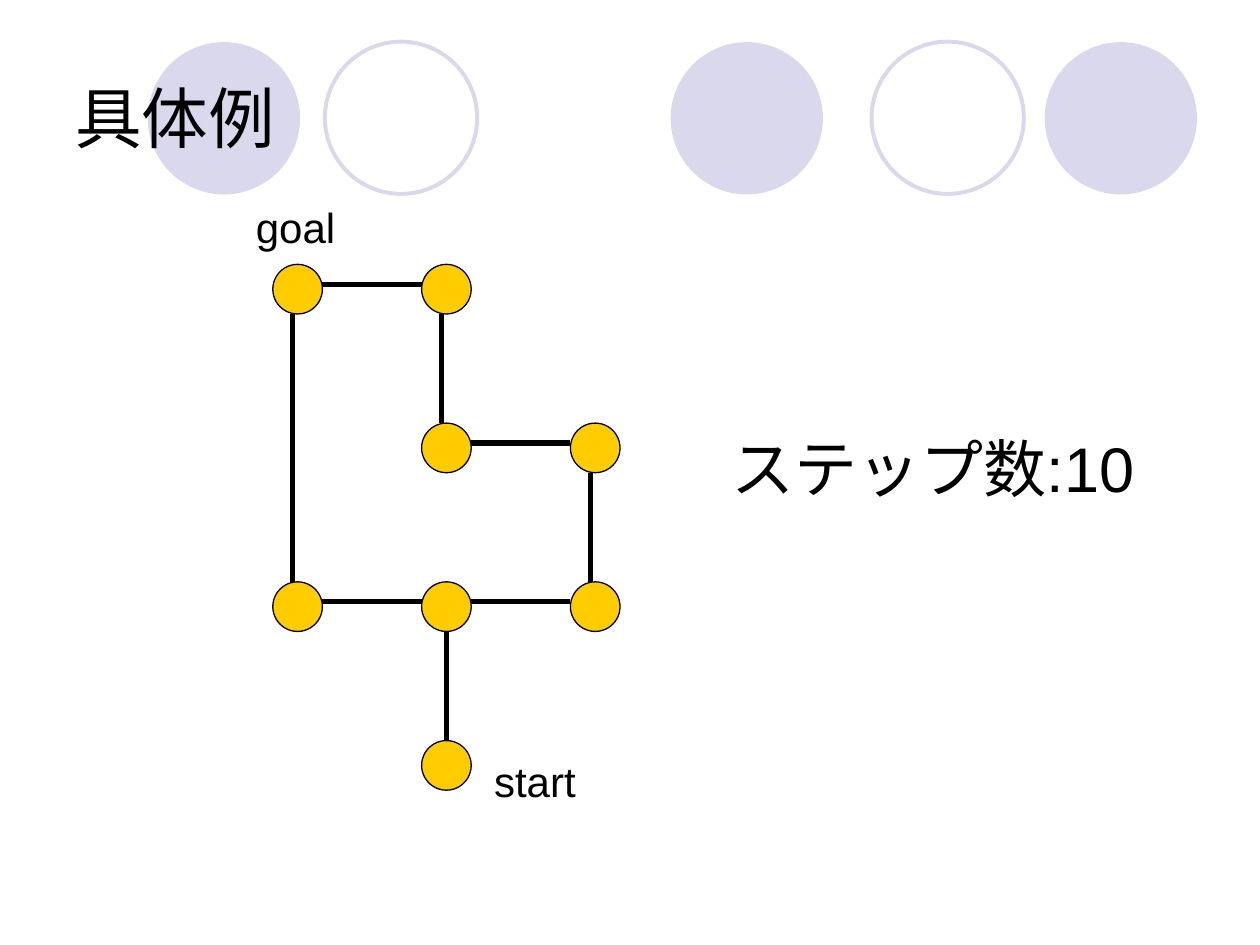
from pptx import Presentation
from pptx.dml.color import RGBColor
from pptx.enum.shapes import MSO_CONNECTOR, MSO_SHAPE
from pptx.enum.text import MSO_ANCHOR
from pptx.oxml.ns import qn
from pptx.util import Cm, Pt
from lxml.etree import SubElement

BLACK, LILAC, GOLD = "000000", "D9D8EC", "FFCC00"
NODE = 1          # node diameter
COL, ROW = 3, 3.2  # grid pitch


def color(code):
    return RGBColor.from_string(code)


def text(slide, box, words, size=24, wrap=False, anchor=MSO_ANCHOR.TOP):
    frame = slide.shapes.add_textbox(*map(Cm, box)).text_frame
    frame.word_wrap = wrap
    frame.vertical_anchor = anchor
    run = frame.paragraphs[0].add_run()
    run.text = words
    run.font.name = "Arial"
    run.font.size = Pt(size)
    run.font.color.rgb = color(BLACK)


def disc(slide, left, top, size, fill=None, line=None, width=0.75):
    shape = slide.shapes.add_shape(
        MSO_SHAPE.OVAL, Cm(left), Cm(top), Cm(size), Cm(size))
    shape.shadow.inherit = False
    if fill:
        shape.fill.solid()
        shape.fill.fore_color.rgb = color(fill)
    else:
        shape.fill.background()
    if line:
        shape.line.color.rgb = color(line)
        shape.line.width = Pt(width)
    else:
        shape.line.fill.background()


def edge(slide, *ends):
    line = slide.shapes.add_connector(MSO_CONNECTOR.STRAIGHT, *map(Cm, ends))
    line.line.color.rgb = color(BLACK)
    line.line.width = Pt(3)
    SubElement(line._element.spPr, qn("a:effectLst"))


def header(slide, left, top, width, height):
    # Row of filled and outlined circles behind the title
    size = 3.07
    for shift in (12.25, 19.79, 1.71):
        disc(slide, left + shift, top + 0.09, size, fill=LILAC)
    for shift in (16.3, 5.28):
        disc(slide, left + shift, top + 0.08, size, line=LILAC, width=2.25)
    text(slide, (left, top, width, height), "具体例", size=38, wrap=True,
         anchor=MSO_ANCHOR.MIDDLE)


def graph(slide, left, top):
    def spot(node):
        return left + node[0] * COL, top + node[1] * ROW

    # Edges run from rim to rim, most of them a little off centre
    edges = [
        ((1, 2), (1, 3), 0.5), ((0, 0), (0, 2), 0.4),
        ((2, 1), (2, 2), 0.4), ((1, 0), (1, 1), 0.4),
        ((0, 2), (1, 2), 0.4), ((1, 2), (2, 2), 0.4),
        ((1, 1), (2, 1), 0.4), ((0, 0), (1, 0), 0.4),
    ]
    for start, end, shift in edges:
        (ax, ay), (bx, by) = spot(start), spot(end)
        if ax == bx:
            edge(slide, ax + shift, ay + NODE, bx + shift, by)
        else:
            edge(slide, ax + NODE, ay + shift, bx, by + shift)

    # Nodes as (column, row)
    for node in [(1, 3), (1, 2), (2, 2), (2, 1), (1, 1), (1, 0), (0, 0), (0, 2)]:
        disc(slide, *spot(node), NODE, fill=GOLD, line=BLACK)

    # Labels of the two end points
    text(slide, (left + 4.21, top + 9.78, 2.16, 1.27), "start")
    text(slide, (left - 0.59, top - 1.4, 2.11, 1.27), "goal")


def main():
    deck = Presentation()
    deck.slide_width, deck.slide_height = Cm(25.4), Cm(19.05)
    slide = deck.slides.add_slide(deck.slide_layouts[6])
    header(slide, 1.27, 0.76, 22.86, 3.18)
    graph(slide, 5.5, 5.33)
    # Step count
    text(slide, (14.5, 8.53, 9.6, 1.78), "ステップ数:10", size=36, wrap=True)
    deck.save("out.pptx")


if __name__ == "__main__":
    main()
